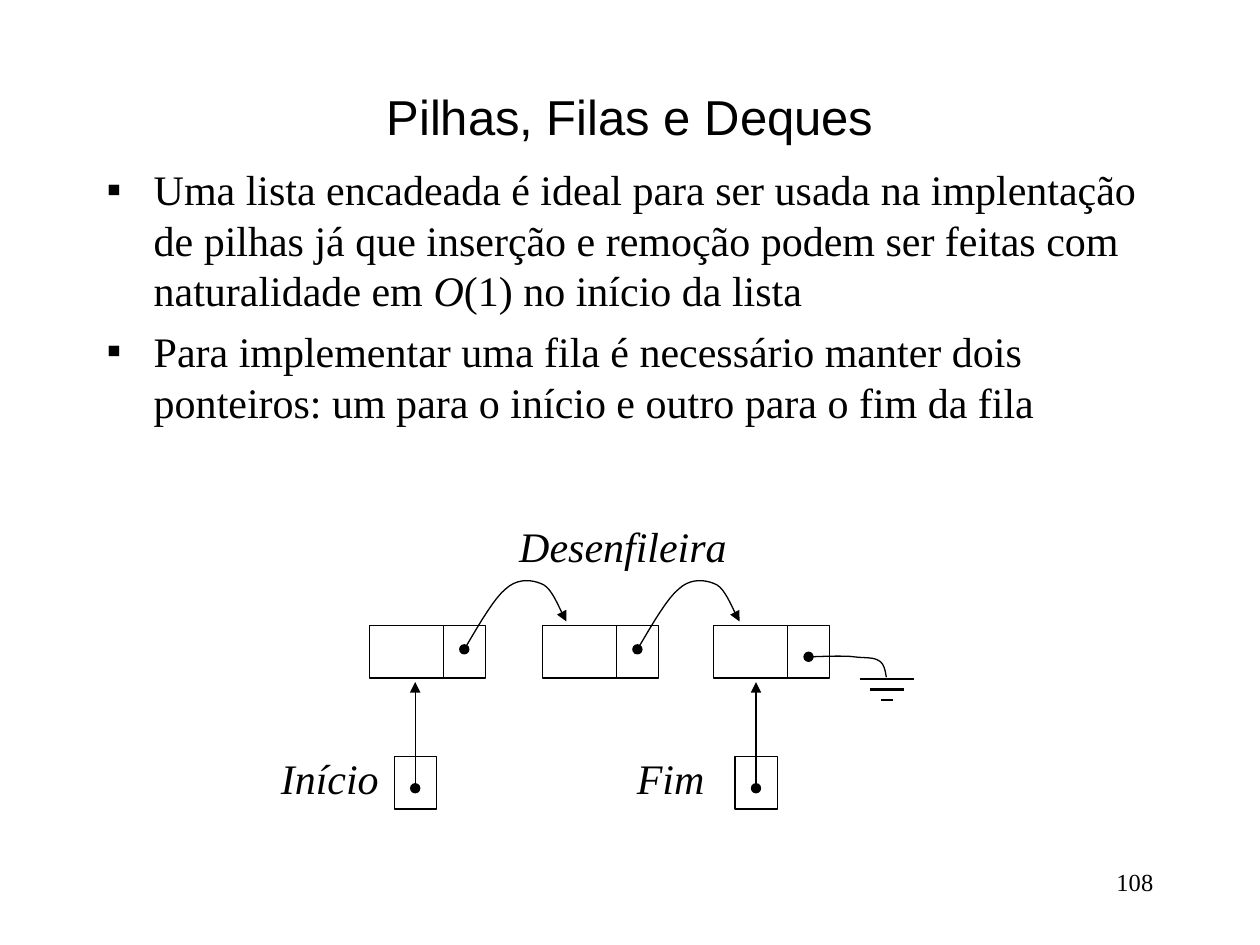
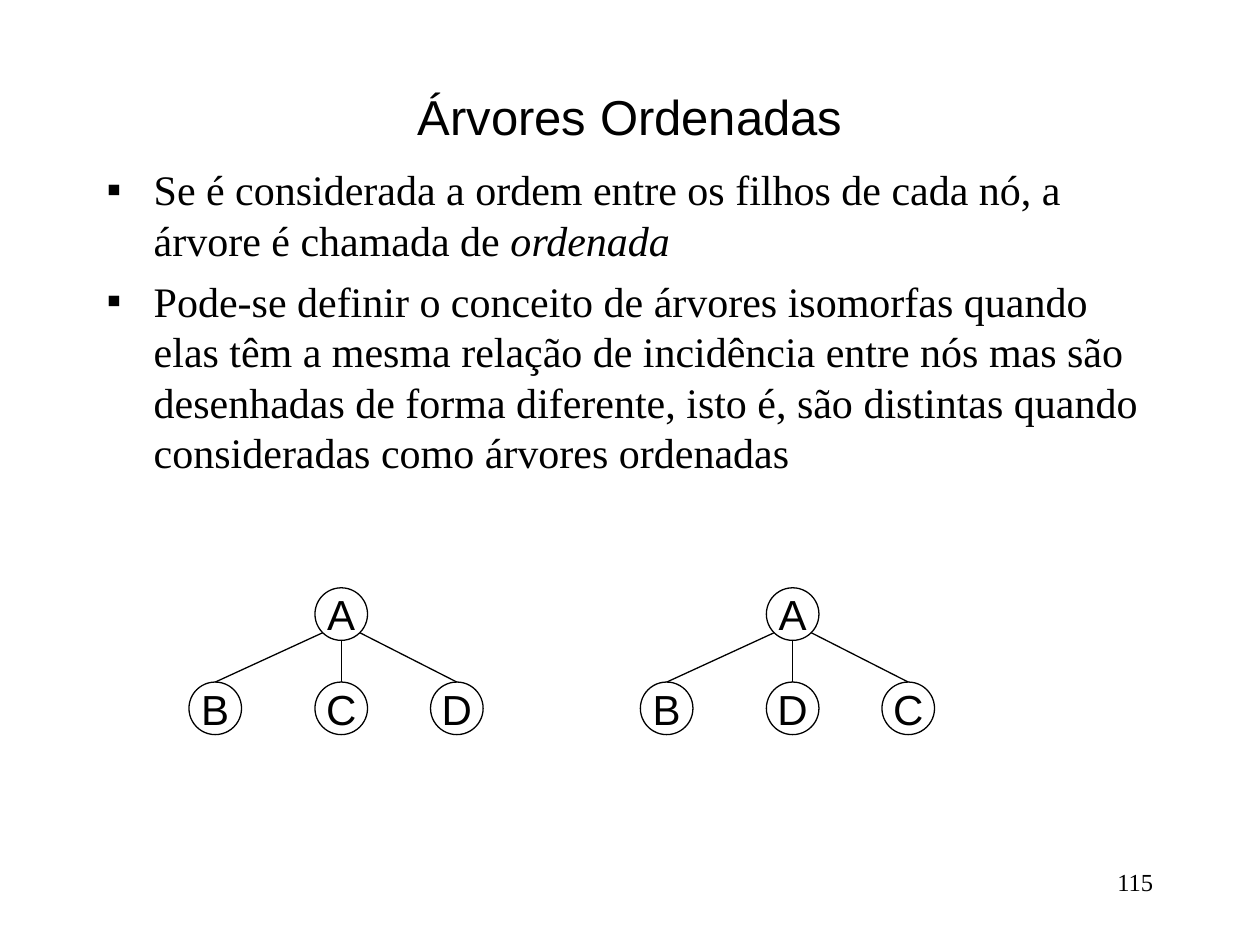
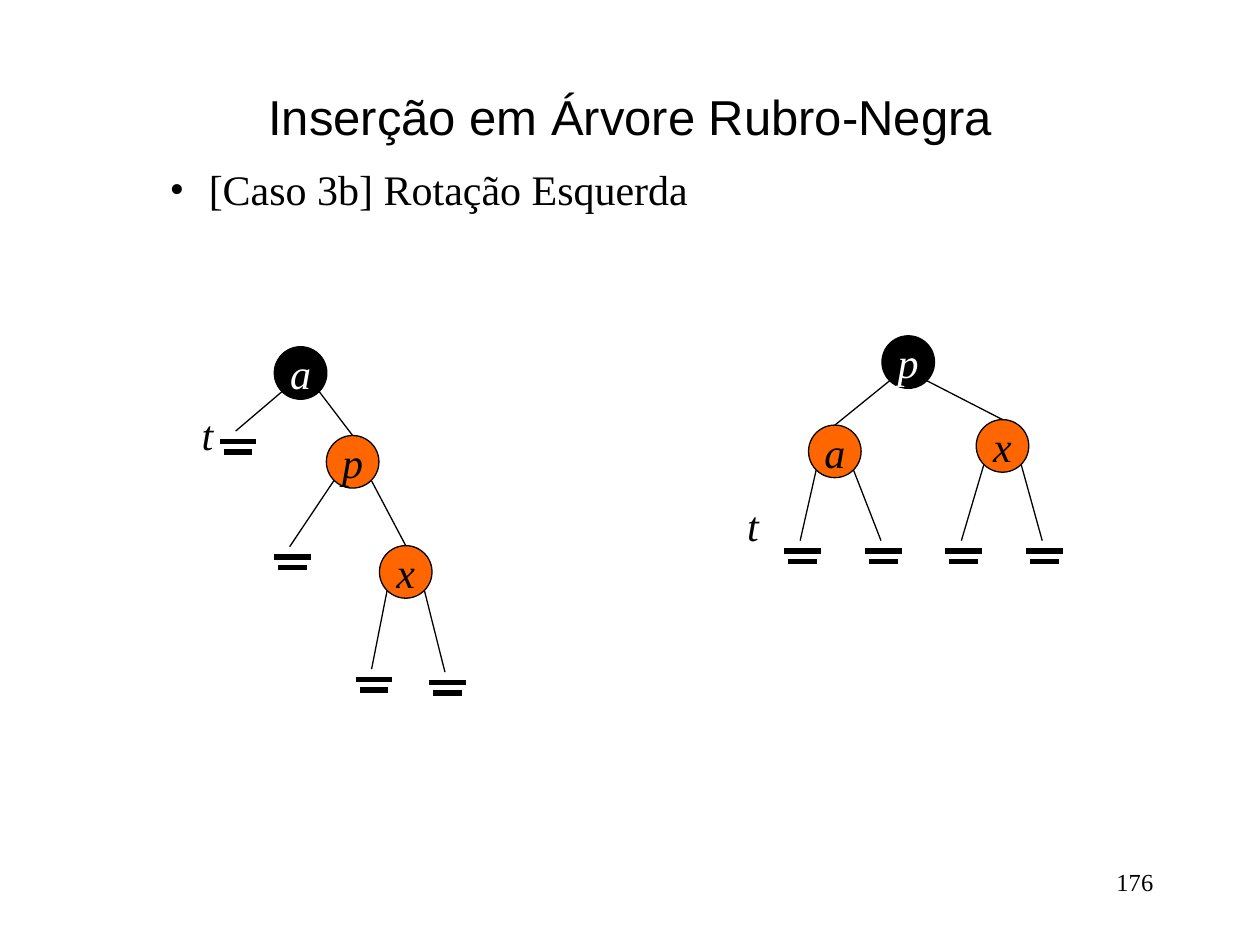
"""Build three slides on lists and trees."""
from lxml.etree import SubElement
from pptx import Presentation
from pptx.dml.color import RGBColor
from pptx.enum.shapes import MSO_CONNECTOR, MSO_SHAPE
from pptx.enum.text import MSO_ANCHOR, MSO_AUTO_SIZE, PP_ALIGN
from pptx.oxml.ns import qn
from pptx.util import Cm, Pt

HUES = {"ink": "000000", "paper": "FFFFFF", "red": "FF6600"}
SANS, SERIF = "Arial", "Times New Roman"
SIZE = 1.06
BULLETS = {"▪": (0.95, 0.95), "•": (2.06, 0.79)}
HOP = [(0, 0), (0.13, -0.2), (0.57, -1.02), (0.84, -1.22), (1.09, -1.45),
       (1.4, -1.4), (1.6, -1.3), (1.8, -1.19), (1.96, -0.71), (2.06, -0.56)]
DROP = [(0, 0), (0.15, 0), (0.69, -0.03), (0.91, 0), (1.14, 0.03),
        (1.3, 0), (1.42, 0.08), (1.55, 0.15), (1.55, 0.36), (1.57, 0.41)]


def tint(name):
    return RGBColor.from_string(HUES[name])


def write(para, text, size=24, face=SERIF, hue="ink", slant=False):
    run = para.add_run()
    run.text = text
    font = run.font
    font.size, font.name, font.italic = Pt(size), face, slant
    font.color.rgb = tint(hue)


def add_box(slide, left, top, width, height, wrap=True):
    box = slide.shapes.add_textbox(Cm(left), Cm(top), Cm(width), Cm(height))
    box.text_frame.word_wrap = wrap
    return box.text_frame


def add_label(slide, text, left, top, width):
    frame = add_box(slide, left, top, width, 1.27, wrap=False)
    frame.auto_size = MSO_AUTO_SIZE.SHAPE_TO_FIT_TEXT
    para = frame.paragraphs[0]
    para.alignment = PP_ALIGN.CENTER
    write(para, text, slant=True)


def style(shape, weight=0.75, head=None, tail=None):
    shape.line.color.rgb = tint("ink")
    shape.line.width = Pt(weight)
    line = shape.element.spPr.find(qn("a:ln"))
    for tag, kind in (("a:headEnd", head), ("a:tailEnd", tail)):
        if kind:
            SubElement(line, qn(tag), type=kind)


def add_line(slide, start, end, weight=0.75, head=None, tail=None):
    line = slide.shapes.add_connector(
        MSO_CONNECTOR.STRAIGHT, *[Cm(v) for v in (*start, *end)])
    style(line, weight, head, tail)
    SubElement(line.element.spPr, qn("a:effectLst"))
    return line


def add_form(slide, kind, left, top, width, height, fill=None):
    form = slide.shapes.add_shape(kind, Cm(left), Cm(top), Cm(width), Cm(height))
    form.shadow.inherit = False
    if fill:
        form.fill.solid()
        form.fill.fore_color.rgb = tint(fill)
    else:
        form.fill.background()
    style(form)
    return form


def bend(knots, steps=10):
    """Return points along the joined cubic curves through the knots."""
    points = [knots[0]]
    for first in range(0, len(knots) - 1, 3):
        four = knots[first:first + 4]
        for step in range(1, steps + 1):
            t = step / steps
            parts = ((1 - t) ** 3, 3 * t * (1 - t) ** 2, 3 * t * t * (1 - t), t ** 3)
            points.append(tuple(sum(w * k[axis] for w, k in zip(parts, four))
                                for axis in (0, 1)))
    return points


def add_curve(slide, left, top, knots, tail=None):
    points = [(Cm(left + x), Cm(top + y)) for x, y in bend(knots)]
    pen = slide.shapes.build_freeform(*points[0])
    pen.add_line_segments(points[1:], close=False)
    curve = pen.convert_to_shape()
    curve.shadow.inherit = False
    curve.fill.background()
    style(curve, head="oval", tail=tail)


def add_ground(slide, mid, top, widths, weight):
    for row, width in enumerate(widths):
        y = top + row * 0.21
        add_line(slide, (mid - width / 2, y), (mid + width / 2, y), weight)


def add_frame(deck, title, number):
    slide = deck.slides.add_slide(deck.slide_layouts[6])
    head = add_box(slide, 1.9, 1.7, 21.6, 1.27)
    head.vertical_anchor = MSO_ANCHOR.MIDDLE
    head.paragraphs[0].alignment = PP_ALIGN.CENTER
    write(head.paragraphs[0], title, 28, SANS)
    foot = add_box(slide, 18.2, 17.35, 5.3, 1.27).paragraphs[0]
    foot.alignment = PP_ALIGN.RIGHT
    write(foot, number, 14)
    return slide


def add_body(slide, items, mark="▪"):
    """Write bullet items, each a list of runs that are (text, slant)."""
    frame = add_box(slide, 1.9, 3.18, 21.6, 13.77)
    margin, hang = BULLETS[mark]
    for row, runs in enumerate(items):
        para = frame.add_paragraph() if row else frame.paragraphs[0]
        props = para._p.get_or_add_pPr()
        props.set("marL", str(Cm(margin)))
        props.set("indent", str(-Cm(hang)))
        hue = SubElement(props, qn("a:buClr"))
        SubElement(hue, qn("a:srgbClr"), val=HUES["ink"])
        SubElement(props, qn("a:buFont"), typeface=SERIF)
        SubElement(props, qn("a:buChar"), char=mark)
        if row:
            para.space_before = Pt(6)
        for text, slant in runs:
            write(para, text, slant=slant)


def add_queue(slide, left, top):
    """Draw a linked queue with its two end pointers."""
    rect = MSO_SHAPE.RECTANGLE
    cells = [left + x for x in (2.04, 5.53, 8.97)]
    row = top + 2.65
    for x in cells:
        add_form(slide, rect, x, row, 1.49, SIZE)
        add_form(slide, rect, x + 1.49, row, 0.85, SIZE)
    for x in cells[:-1]:
        add_curve(slide, x + 1.91, row + 0.48, HOP, "triangle")
    x, y = cells[-1] + 1.92, row + 0.63
    add_curve(slide, x, y, DROP)
    add_ground(slide, x + 1.58, y + 0.45, (1.1, 0.68, 0.25), 1.5)
    add_label(slide, "Desenfileira", left + 4.55, top + 0.4, 5.2)
    for text, x, gap, width in (("Início", 2.54, 2.8, 3), ("Fim", 9.41, 2.8, 3)):
        x, y = left + x, top + 5.29
        add_form(slide, rect, x, y, 0.85, SIZE)
        add_line(slide, (x + 0.42, y + 0.64), (x + 0.42, y - 1.5),
                 head="oval", tail="triangle")
        add_label(slide, text, x - gap, y - 0.2, width)


def add_tree(slide, left, top, node, face=SERIF):
    """Draw a node (text, fill, x, y, kids) and its kids; return its shape."""
    text, fill, x, y, kids = node
    mid, high, half = left + x, top + y, SIZE / 2
    if not text:
        add_ground(slide, mid + 0.05, high + 0.21, (0.74, 0.58), 3)
        return None
    ball = add_form(slide, MSO_SHAPE.OVAL, mid - half, high, SIZE, SIZE, fill)
    frame = ball.text_frame
    frame.word_wrap = False
    frame.vertical_anchor = MSO_ANCHOR.MIDDLE
    frame.paragraphs[0].alignment = PP_ALIGN.CENTER
    write(frame.paragraphs[0], text, 24, face,
          "paper" if fill == "ink" else "ink", face == SERIF)
    for kid in kids:
        side = (kid[2] > x) - (kid[2] < x)
        start = (mid + side * half * 0.71, high + half * (1.71 if side else 2))
        line = add_line(slide, start, (left + kid[2], top + kid[3]))
        shape = add_tree(slide, left, top, kid, face)
        if shape:
            line.end_connect(shape, 0)
    return ball


def leaf(x, y):
    return "", None, x, y, []


def build_queue(deck):
    slide = add_frame(deck, "Pilhas, Filas e Deques", "108")
    add_body(slide, [
        [("Uma lista encadeada é ideal para ser usada na implentação de pilhas já "
          "que inserção e remoção podem ser feitas com naturalidade em ", False),
         ("O", True), ("(1) no início da lista", False)],
        [("Para implementar uma fila é necessário manter dois ponteiros: "
          "um para o início e outro para o fim da fila", False)]])
    add_queue(slide, 5.41, 9.96)


def build_order(deck):
    slide = add_frame(deck, "Árvores Ordenadas", "115")
    add_body(slide, [
        [("Se é considerada a ordem entre os filhos de cada nó, "
          "a árvore é chamada de ", False), ("ordenada", True)],
        [("Pode-se definir o conceito de árvores isomorfas quando elas têm a mesma "
          "relação de incidência entre nós mas são desenhadas de forma diferente, "
          "isto é, são distintas quando consideradas como árvores ordenadas", False)]])
    for left, names in ((3.81, "BCD"), (12.91, "BDC")):
        kids = [(name, None, x, 1.9, []) for name, x in zip(names, (0.53, 3.07, 5.4))]
        add_tree(slide, left, 11.85, ("A", None, 3.07, 0, kids), SANS)


def build_turn(deck):
    slide = add_frame(deck, "Inserção em Árvore Rubro-Negra", "176")
    add_body(slide, [[("[Caso 3b] Rotação Esquerda", False)]], "•")
    low = ("x", "red", 4.37, 4.01, [leaf(3.68, 6.5), leaf(5.16, 6.56)])
    mid = ("p", "red", 3.3, 1.79, [leaf(2.03, 4.03), low])
    old = ("a", "ink", 2.25, 0, [leaf(0.94, 1.7), mid])
    new = ("p", "ink", 3.5, 0, [
        ("a", "red", 2.02, 1.8, [leaf(1.32, 4.13), leaf(2.95, 4.13)]),
        ("x", "red", 5.4, 1.69, [leaf(4.57, 4.13), leaf(6.2, 4.13)])])
    for left, top, root, drop in ((3.81, 6.99, old, 1.12), (14.81, 6.77, new, 3.18)):
        add_tree(slide, left, top, root)
        add_label(slide, "t", left, top + drop, 0.74)


def main():
    deck = Presentation()
    deck.slide_width, deck.slide_height = Cm(25.4), Cm(19.05)
    for build in (build_queue, build_order, build_turn):
        build(deck)
    deck.save("out.pptx")


if __name__ == "__main__":
    main()
